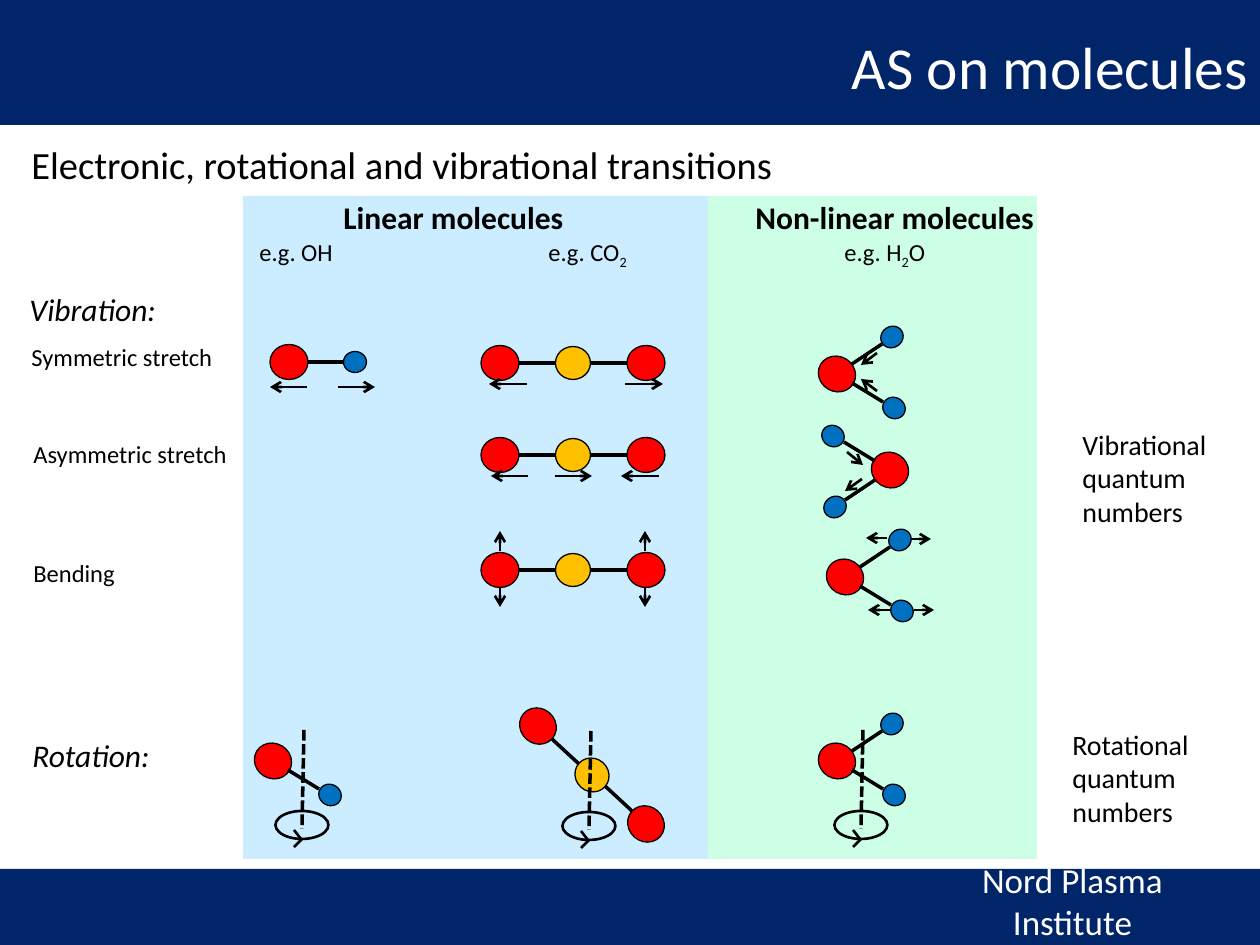
from dataclasses import dataclass
from math import cos, radians, sin

from lxml import etree
from pptx import Presentation
from pptx import util as u
from pptx.dml.color import RGBColor
from pptx.enum import dml, shapes, text
from pptx.oxml.ns import qn


@dataclass(frozen=True)
class Theme:
    font: str = "Calibri"
    navy: str = "002569"
    white: str = "FFFFFF"
    black: str = "000000"
    linear: str = "CCEDFF"
    bent: str = "CDFFE7"
    red: str = "FF0000"
    blue: str = "0070C0"
    yellow: str = "FFC000"
    title: int = 34
    lead: int = 22
    footer: int = 20
    heading: int = 18
    side: int = 16
    label: int = 14
    bond: float = 2
    thin: float = 1.5
    edge: float = 0.75


def px(n):
    return u.Emu(round(n * 914400 / 126))


def polar(x, y, angle, r):
    a = radians(angle)
    return round(x + r * cos(a)), round(y + r * sin(a))


class Deck:
    def __init__(self, theme):
        self.t = theme
        self.prs = Presentation()
        self.prs.slide_width, self.prs.slide_height = px(1260), px(945)
        self.s = self.prs.slides.add_slide(self.prs.slide_layouts[6])
        self.atoms = {"O": (38, 35, theme.red), "H": (23, 21, theme.blue),
                      "C": (35, 33, theme.yellow)}

    def shape(self, kind, x, y, w, h, fill=None, line=None, rot=0):
        sp = self.s.shapes.add_shape(kind, px(x), px(y), px(w), px(h))
        sp.shadow.inherit = False
        sp.rotation = rot
        if fill:
            sp.fill.solid()
            sp.fill.fore_color.rgb = RGBColor.from_string(fill)
        else:
            sp.fill.background()
        if line:
            sp.line.color.rgb = RGBColor.from_string(self.t.black)
            sp.line.width = u.Pt(line)
        else:
            sp.line.fill.background()

    def rect(self, x, y, w, h, fill):
        self.shape(shapes.MSO_SHAPE.RECTANGLE, x, y, w, h, fill)

    def oval(self, x, y, w, h, **style):
        self.shape(shapes.MSO_SHAPE.OVAL, x - w / 2, y - h / 2, w, h, **style)

    def line(self, x1, y1, x2, y2, width, dash=False, arrow=False):
        c = self.s.shapes.add_connector(
            shapes.MSO_CONNECTOR.STRAIGHT, px(x1), px(y1), px(x2), px(y2))
        c.line.color.rgb = RGBColor.from_string(self.t.black)
        c.line.width = u.Pt(width)
        if dash:
            c.line.dash_style = dml.MSO_LINE.SQUARE_DOT
            c.line._get_or_add_ln().find(qn("a:prstDash")).set("val", "sysDash")
        if arrow:
            ln = c.line._get_or_add_ln()
            etree.SubElement(ln, qn("a:tailEnd"), type="arrow")
        etree.SubElement(c._element.spPr, qn("a:effectLst"))

    def arrow(self, *ends):
        self.line(*ends, self.t.thin, arrow=True)

    def text(self, content, x, y, w, h, size, color=None, bold=False,
             italic=False, align=None, indent=63, wrap=True, grow=True,
             anchor=text.MSO_ANCHOR.TOP):
        tf = self.s.shapes.add_textbox(px(x), px(y), px(w), px(h)).text_frame
        tf.word_wrap = wrap
        tf.vertical_anchor = anchor
        fit = text.MSO_AUTO_SIZE
        tf.auto_size = fit.SHAPE_TO_FIT_TEXT if grow else fit.NONE
        p = tf.paragraphs[0]
        p.alignment = align
        if indent:
            p.level = 1
            p._p.get_or_add_pPr().set("marL", str(px(indent)))
            p._p.get_or_add_pPr().set("indent", "0")
        for i, part in enumerate(content.split("|")):
            r = p.add_run()
            r.text = part
            r.font.name, r.font.size = self.t.font, u.Pt(size)
            r.font.bold, r.font.italic = bold, italic
            r.font.color.rgb = RGBColor.from_string(color or self.t.black)
            if i % 2:
                r._r.get_or_add_rPr().set("baseline", "-25000")

    def atom(self, kind, x, y, angle=0):
        w, h, fill = self.atoms[kind]
        self.oval(x, y, w, h, fill=fill, line=self.t.edge, rot=angle)

    def arm(self, kind, x, y, angle, length, near=18, far=54):
        self.atom(kind, *polar(x, y, angle, length), angle)
        self.line(*polar(x, y, angle, near), *polar(x, y, angle, far), self.t.bond)

    def hydroxyl(self, x, y, angle):
        self.atom("O", x, y, angle)
        self.arm("H", x, y, angle, 66)

    def carbon_dioxide(self, x, y, angle=0):
        self.atom("C", x, y, angle)
        for turn in (0, 180):
            self.arm("O", x, y, angle + turn, 73, near=17)

    def water(self, x, y, turn=0):
        self.hydroxyl(x, y, turn + 31)
        self.arm("H", x, y, turn - 34, 66)

    def spin(self, x, y):
        self.line(x + 2, y - 95, x, y + 4, self.t.bond, dash=True)
        self.oval(x, y, 53, 28, line=self.t.thin)
        self.line(x, y + 14, x - 8, y + 22, self.t.thin)
        self.line(x - 8, y + 5, x - 1, y + 14, self.t.thin)


def main():
    t = Theme()
    d = Deck(t)
    d.rect(0, 869, 1260, 76, t.navy)
    d.rect(0, 0, 1260, 125, t.navy)
    d.rect(243, 196, 466, 663, t.linear)
    d.rect(708, 196, 329, 663, t.bent)

    d.text("AS on molecules", 270, 24, 990, 101, t.title, color=t.white,
           align=text.PP_ALIGN.RIGHT, indent=0, grow=False)
    d.text("Nord Plasma Institute", 907, 873, 331, 55, t.footer, color=t.white,
           align=text.PP_ALIGN.CENTER, indent=0, wrap=False,
           anchor=text.MSO_ANCHOR.MIDDLE)
    d.text("Electronic, rotational and vibrational transitions",
           -44, 135, 963, 59, t.lead)
    for label, x, w in (("Linear molecules", 268, 362),
                        ("Non-linear molecules", 680, 446)):
        d.text(label, x, 192, w, 50, t.heading, bold=True)
    for label, x in (("e.g. OH", 184), ("e.g. CO|2", 473), ("e.g. H|2|O", 769)):
        d.text(label, x, 231, 268, 43, t.label)
    for label, x, y in (("Vibration:", -46, 284), ("Rotation:", -43, 730)):
        d.text(label, x, y, 268, 50, t.heading, italic=True)
    for label, x, y, w in (("Symmetric stretch", -44, 336, 301),
                           ("Asymmetric stretch", -42, 433, 285),
                           ("Bending", -42, 552, 176)):
        d.text(label, x, y, w, 43, t.label)
    for label, x, y, w in (("Vibrational quantum numbers", 1007, 421, 243),
                           ("Rotational quantum numbers", 997, 721, 268)):
        d.text(label, x, y, w, 115, t.side)

    d.hydroxyl(289, 362, 0)
    for y in (363, 455, 570):
        d.carbon_dioxide(573, y)
    d.water(837, 374)
    d.water(890, 470, turn=180)
    d.water(845, 577)

    for x1, x2, y in ((338, 375, 387), (307, 270, 387),
                      (625, 663, 384), (527, 489, 384),
                      (555, 592, 476), (528, 491, 476), (659, 621, 476),
                      (891, 868, 610), (887, 866, 538),
                      (911, 931, 539), (914, 934, 610)):
        d.arrow(x1, y, x2, y)
    for x in (500, 645):
        d.arrow(x, 551, x, 531)
        d.arrow(x, 587, x, 607)
    for ends in ((877, 353, 861, 365), (877, 391, 861, 379),
                 (862, 479, 845, 491), (847, 452, 863, 465)):
        d.arrow(*ends)

    d.hydroxyl(273, 761, 31)
    d.spin(302, 825)
    d.carbon_dioxide(592, 775, 42)
    d.spin(589, 826)
    d.spin(861, 825)
    d.water(837, 761)

    d.prs.save("out.pptx")


if __name__ == "__main__":
    main()
